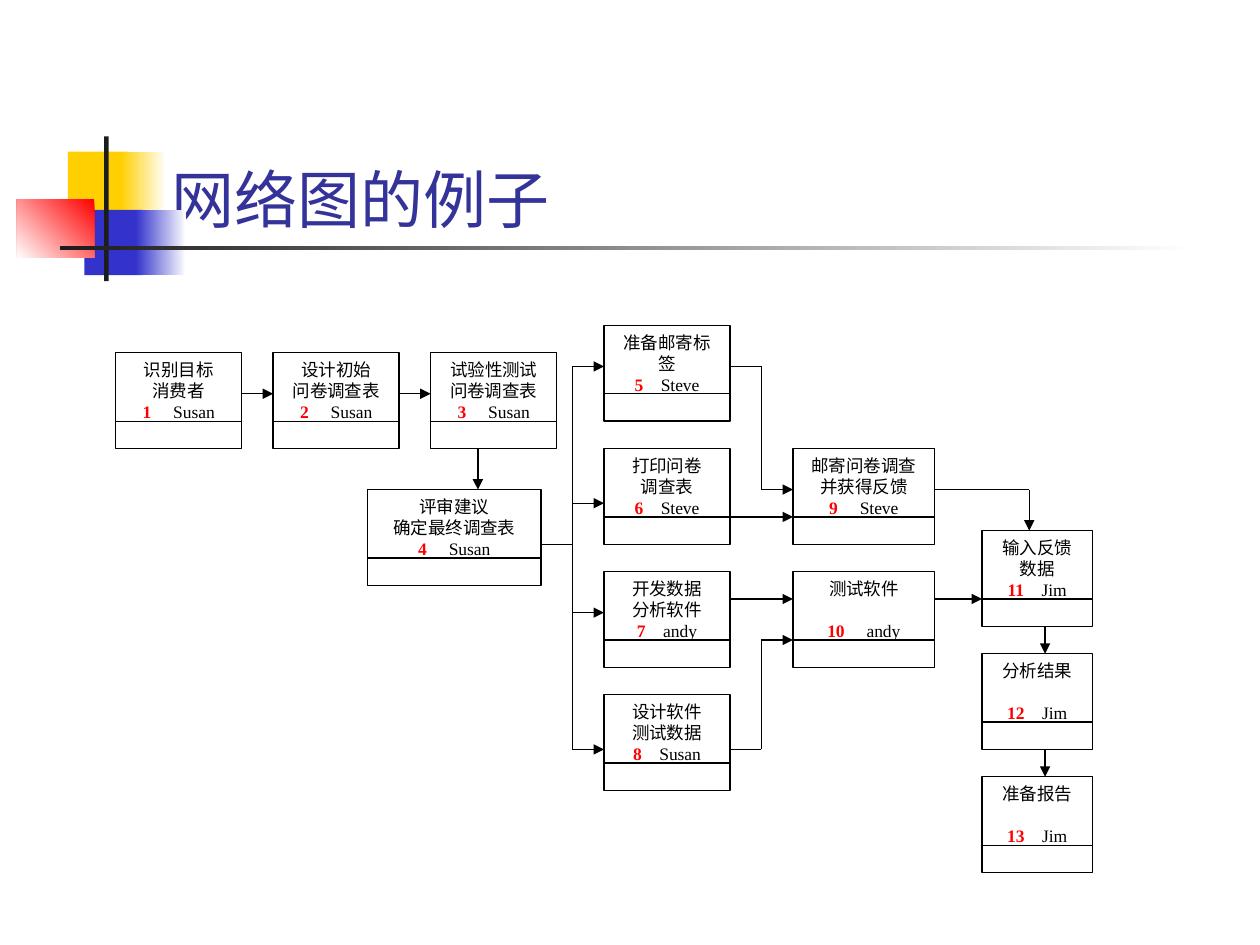
from itertools import pairwise
from lxml.etree import SubElement
from pptx import Presentation
from pptx.dml.color import RGBColor
from pptx.enum.shapes import MSO_CONNECTOR, MSO_SHAPE
from pptx.enum.text import MSO_ANCHOR, MSO_AUTO_SIZE, PP_ALIGN
from pptx.oxml.ns import qn
from pptx.util import Cm, Pt

COLS, ROWS = 62, 40          # grid of the network diagram
TASK_ROWS, DIVIDER_ROW = 7, 5
BLACK, WHITE, RED = "000000", "FFFFFF", "FF0000"

# column, row, width in columns, lines, number, spaces before the owner, owner
TASKS = [
    (0, 2, 8, ["识别目标", "消费者"], 1, 5, "Susan"),
    (10, 2, 8, ["设计初始", "问卷调查表"], 2, 5, "Susan"),
    (20, 2, 8, ["试验性测试问卷调查表"], 3, 5, "Susan"),
    (16, 12, 11, ["评审建议", "确定最终调查表"], 4, 5, "Susan"),
    (31, 0, 8, ["准备邮寄标签"], 5, 4, "Steve"),
    (31, 9, 8, ["打印问卷", "调查表"], 6, 4, "Steve"),
    (31, 18, 8, ["开发数据", "分析软件"], 7, 4, "andy"),
    (31, 27, 8, ["设计软件", "测试数据"], 8, 4, "Susan"),
    (43, 9, 9, ["邮寄问卷调查", "并获得反馈"], 9, 5, "Steve"),
    (43, 18, 9, ["测试软件"], 10, 5, "andy"),
    (55, 15, 7, ["输入反馈", "数据"], 11, 4, "Jim"),
    (55, 24, 7, ["分析结果"], 12, 4, "Jim"),
    (55, 33, 7, ["准备报告"], 13, 4, "Jim"),
]

# Grid points of each route; the last segment carries the arrowhead
ROUTES = [
    [(8, 5), (10, 5)],
    [(18, 5), (20, 5)],
    [(23, 9), (23, 12)],
    *[[(29, row), (31, row)] for row in (3, 13, 21, 31)],
    [(39, 3), (41, 3), (41, 12), (43, 12)],
    [(39, 14), (43, 14)],
    [(39, 20), (43, 20)],
    [(39, 31), (41, 31), (41, 23), (43, 23)],
    [(52, 12), (58, 12), (58, 15)],
    [(52, 20), (55, 20)],
    [(59, 22), (59, 24)],
    [(59, 31), (59, 33)],
]
# Trunk from task 4 to the four branches
TRUNK = [[(27, 16), (29, 16)], [(29, 3), (29, 31)]]


def rgb(value):
    return RGBColor.from_string(value)


def add_rect(shapes, x, y, w, h, color, fade_to=None, angle=0):
    s = shapes.add_shape(MSO_SHAPE.RECTANGLE, x, y, w, h)
    s.shadow.inherit = False
    s.line.fill.background()
    if fade_to:
        s.fill.gradient()
        s.fill.gradient_angle = angle
        for stop, value in zip(s.fill.gradient_stops, (color, fade_to)):
            stop.color.rgb = rgb(value)
    else:
        s.fill.solid()
        s.fill.fore_color.rgb = rgb(color)
    return s


def add_line(shapes, start, end, arrow=False):
    c = shapes.add_connector(MSO_CONNECTOR.STRAIGHT, *start, *end)
    c.line.color.rgb = rgb(BLACK)
    c.line.width = Pt(0.75)
    sp_pr = c._element.spPr
    if arrow:
        SubElement(sp_pr.find(qn("a:ln")), qn("a:tailEnd"), type="triangle")
    SubElement(sp_pr, qn("a:effectLst"))


def add_run(p, text, **formats):
    r = p.add_run()
    r.text = text
    color = formats.pop("color", BLACK)
    for name, value in {"size": Pt(10), "name": "Times New Roman", **formats}.items():
        setattr(r.font, name, value)
    r.font.color.rgb = rgb(color)
    return r


def add_decoration(shapes, x, y):
    """Coloured squares, cross bar and fading rule."""
    for dx, dy, w, h, *look in [
        (1.03, 0.31, 1.22, 1.32, "FFCF01"),
        (2.1, 0.31, 0.91, 1.32, "FFCF01", WHITE),
        (1.36, 1.48, 1.17, 1.32, "3333CC"),
        (2.4, 1.48, 1.01, 1.32, "3333CC", WHITE),
        (0, 1.27, 1.56, 1.18, RED, WHITE, 225),
        (1.76, 0, 0.09, 2.92, "1C1C1C"),
        (0.87, 2.21, 22.86, 0.09, "1C1C1C", WHITE),
    ]:
        add_rect(shapes, x + Cm(dx), y + Cm(dy), Cm(w), Cm(h), *look)


def place_title(s, x, y, w, h, text):
    s.left, s.top, s.width, s.height = x, y, w, h
    tf = s.text_frame
    tf.auto_size = MSO_AUTO_SIZE.NONE
    tf.vertical_anchor = MSO_ANCHOR.BOTTOM
    p = tf.paragraphs[0]
    p.alignment = PP_ALIGN.LEFT
    add_run(p, text, size=Pt(36), name="Roboto", color="333399")


def add_task(shapes, x, y, w, h, lines, number, spaces, owner):
    """Task box with its name, number and owner above a divider."""
    s = add_rect(shapes, x, y, w, h, WHITE)
    s.line.color.rgb = rgb(BLACK)
    s.line.width = Pt(0.75)
    tf = s.text_frame
    tf.word_wrap = True
    tf.vertical_anchor = MSO_ANCHOR.TOP
    for i, line in enumerate(lines):
        p = tf.add_paragraph() if i else tf.paragraphs[0]
        add_run(p, line)
    p = tf.add_paragraph()
    if len("".join(lines)) <= 4:     # one-line names leave the second line free
        p.space_before = Pt(12)
    add_run(p, str(number), bold=True, color=RED)
    gap = add_run(p, " ")
    gap.font._element.set("spc", str((spaces - 1) * 250))
    add_run(p, owner)
    for p in tf.paragraphs:
        p.alignment = PP_ALIGN.CENTER
    divider = y + h * DIVIDER_ROW // TASK_ROWS
    add_line(shapes, (x, divider), (x + w, divider))


def add_network(shapes, x, y, w, h):
    def at(col, row):
        return x + w * col // COLS, y + h * row // ROWS

    for col, row, cols, *content in TASKS:
        left, top = at(col, row)
        right, bottom = at(col + cols, row + TASK_ROWS)
        add_task(shapes, left, top, right - left, bottom - top, *content)
    for start, end in TRUNK:
        add_line(shapes, at(*start), at(*end))
    for route in ROUTES:
        for start, end in pairwise(route):
            add_line(shapes, at(*start), at(*end), arrow=end == route[-1])


def main():
    prs = Presentation()
    prs.slide_width, prs.slide_height = Cm(25.4), Cm(19.05)
    slide = prs.slides.add_slide(prs.slide_layouts[5])
    add_decoration(slide.shapes, Cm(0.34), Cm(2.75))
    place_title(slide.shapes.title, Cm(3.2), Cm(1.7), Cm(21.64), Cm(3.18), "网络图的例子")
    network = slide.shapes.add_group_shape()
    add_network(network.shapes, Cm(2.33), Cm(6.56), Cm(19.69), Cm(11.03))
    prs.save("out.pptx")


if __name__ == "__main__":
    main()
